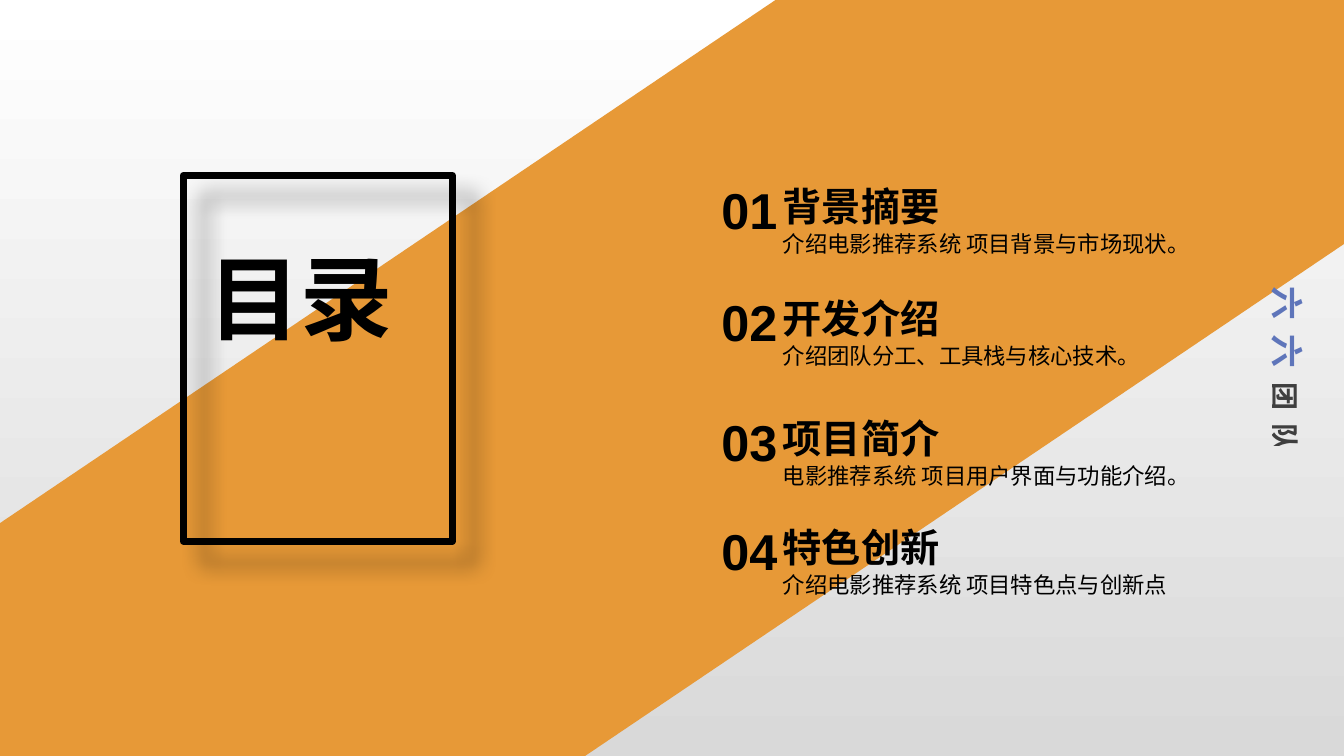
import pptx
import pptx.dml.color
import pptx.enum.shapes
import pptx.enum.text
import pptx.oxml
import pptx.oxml.ns
import pptx.util
from pptx.util import Cm

RGBColor = pptx.dml.color.RGBColor
BLACK = RGBColor(0x00, 0x00, 0x00)
WHITE = RGBColor(0xFF, 0xFF, 0xFF)
GREY = RGBColor(0xD9, 0xD9, 0xD9)
ORANGE = RGBColor(0xE7, 0x99, 0x37)
BLUE = RGBColor(0x5E, 0x75, 0xBA)
RECTANGLE = pptx.enum.shapes.MSO_SHAPE.RECTANGLE
NS = pptx.oxml.ns.nsdecls("a")

# Top of each entry, number, heading, description
ENTRIES = [
    (4.39, "01", "背景摘要", "介绍电影推荐系统 项目背景与市场现状。"),
    (7.21, "02", "开发介绍", "介绍团队分工、工具栈与核心技术。"),
    (10.24, "03", "项目简介", "电影推荐系统 项目用户界面与功能介绍。"),
    (12.98, "04", "特色创新", "介绍电影推荐系统 项目特色点与创新点"),
]


def add_text(shapes, box, text, size, bold=True, wrap=True, spacing=None):
    label = shapes.add_textbox(*map(Cm, box))
    label.text_frame.word_wrap = wrap
    paragraph = label.text_frame.paragraphs[0]
    paragraph.text = text
    paragraph.line_spacing = spacing
    paragraph.font.name = "Arial"
    paragraph.font.size = pptx.util.Pt(size)
    paragraph.font.bold = bold
    paragraph.font.color.rgb = BLACK


def add_backdrop(slide, box):
    # Vertical gradient behind everything
    fill = slide.background.fill
    fill.gradient()
    fill.gradient_angle = 270
    for stop, color in zip(fill.gradient_stops, (WHITE, GREY)):
        stop.color.rgb = color

    # Diagonal band
    band = slide.shapes.add_shape(RECTANGLE, *map(Cm, box))
    band.rotation = 326
    band.shadow.inherit = False
    band.fill.solid()
    band.fill.fore_color.rgb = ORANGE
    band.line.fill.background()


def add_title(slide, box):
    left, top, width, height = box
    frame = slide.shapes.add_shape(RECTANGLE, *map(Cm, box))
    frame.fill.background()
    frame.line.color.rgb = BLACK
    frame.line.width = pptx.util.Pt(5)

    # Soft shadow falling to the lower right
    frame.shadow.inherit = False
    effects = frame._element.spPr.find(pptx.oxml.ns.qn("a:effectLst"))
    effects.append(pptx.oxml.parse_xml(
        f'<a:outerShdw {NS} blurRad="190500" dist="266700" dir="2700000" '
        'algn="tl" rotWithShape="0"><a:srgbClr val="000000">'
        '<a:alpha val="40000"/></a:srgbClr></a:outerShdw>'))

    add_text(slide.shapes, (left + 0.38, top + 1.52, 8.2, 3.07), "目录", 66)


def add_entry(shapes, box, number, heading, description):
    left, top, width, height = box
    text_left = left + 1.55
    add_text(shapes, (left, top, 2.13, height), number, 36, wrap=False)
    add_text(shapes, (text_left, top + 0.94, width - 1.55, 1.27),
             description, 16, bold=False, spacing=1.5)
    add_text(shapes, (text_left, top + 0.08, 4.47, 1.45), heading, 28, wrap=False)


def add_contents(slide, left, width):
    contents = slide.shapes.add_group_shape()
    for top, *texts in ENTRIES:
        add_entry(contents.shapes, (left, top, width, 1.8), *texts)


def add_team_name(slide, box):
    team = slide.shapes.add_textbox(*map(Cm, box))
    team.rotation = 90
    team.text_frame.word_wrap = True
    paragraph = team.text_frame.paragraphs[0]
    for text, size, color in (("六 六 ", 24, BLUE), ("团 队", 20, BLACK)):
        run = paragraph.add_run()
        run.text = text
        run.font.size = pptx.util.Pt(size)
        run.font.color.rgb = color
        run._r.get_or_add_rPr().set("spc", "240")
    paragraph.font.name = "Calibri"
    paragraph.font.bold = True
    for run in paragraph.runs:
        run.font.name = "Calibri"
        run.font.bold = True

    # The last two characters are slightly transparent
    ink = run._r.rPr.find(".//" + pptx.oxml.ns.qn("a:srgbClr"))
    ink.append(pptx.oxml.parse_xml(f'<a:alpha {NS} val="72000"/>'))


def main():
    deck = pptx.Presentation()
    deck.slide_width, deck.slide_height = Cm(33.87), Cm(19.05)
    slide = deck.slides.add_slide(deck.slide_layouts[6])
    add_backdrop(slide, (-21.59, 2.44, 79.04, 13.11))
    add_title(slide, (4.62, 4.42, 6.78, 9.22))
    add_contents(slide, 17.93, 13.03)
    add_team_name(slide, (29.95, 8.86, 5.03, 1.27))
    deck.save("out.pptx")


if __name__ == "__main__":
    main()
